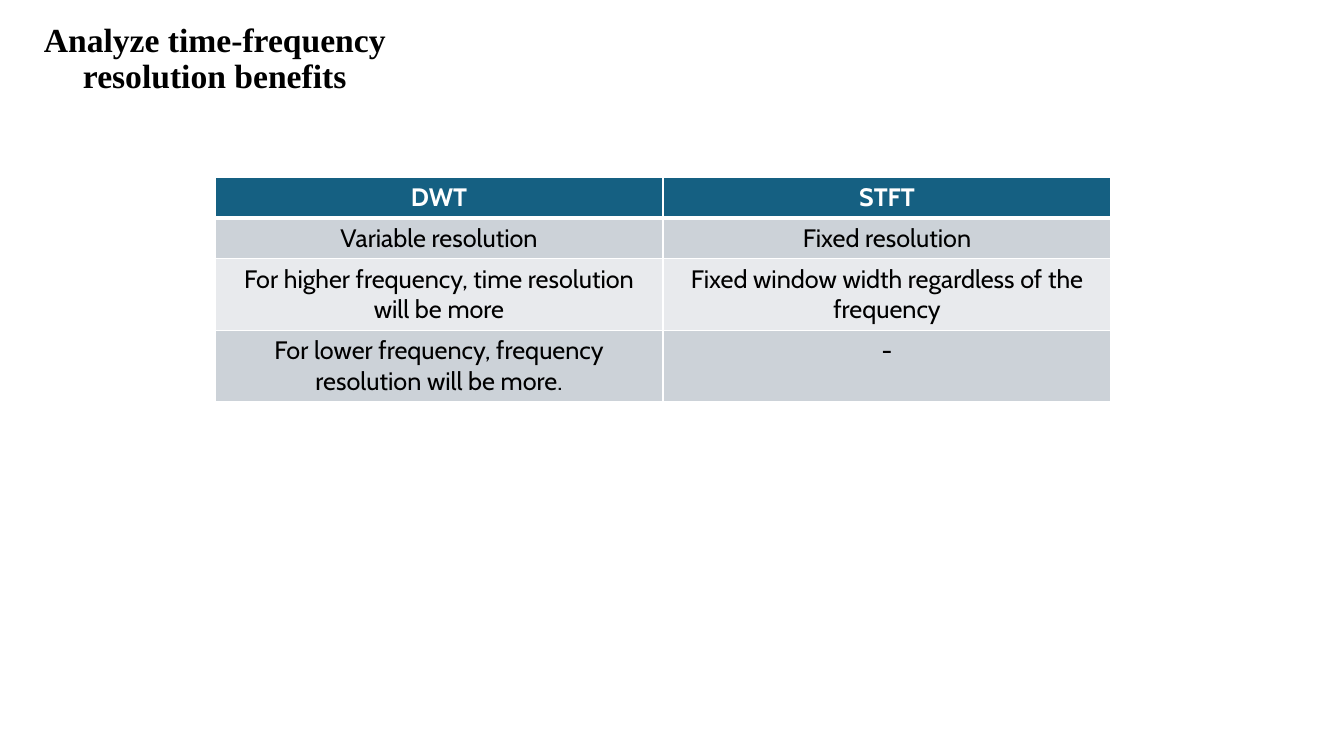
import pptx
import pptx.util
import pptx.dml.color
import pptx.enum.text
import pptx.oxml
import pptx.oxml.ns
import dataclasses

ROWS = [
    ("DWT", "STFT"),
    ("Variable resolution", "Fixed resolution"),
    ("For higher frequency, time resolution will be more",
     "Fixed window width regardless of the frequency"),
    ("For lower frequency, frequency resolution will be more.", "-"),
]


@dataclasses.dataclass(frozen=True)
class Theme:
    """Hold the colours, fonts and sizes of the slide."""
    ink: str = "000000"
    pale: str = "FFFFFF"
    head: str = "156082"
    bands: tuple = ("CCD2D8", "E8EAED")
    serif: str = "Times New Roman"
    sans: str = "Cabin"
    large: int = 24
    text: int = 18
    thin: int = 1
    thick: int = 3


LOOK = Theme()
WIDE = pptx.util.Inches(13.33)
HIGH = pptx.util.Inches(7.5)


def share(left, top, width, height):
    """Turn percentages of the slide into a box of lengths."""
    sides = zip((left, top, width, height), (WIDE, HIGH, WIDE, HIGH))
    return [round(part * side / 100) for part, side in sides]


def apply(item, form):
    """Set each value of a dict as an attribute."""
    for key, value in form.items():
        setattr(item, key, value)


def write(frame, text, font, size, ink, bold, space=1.0):
    """Fill a text frame with one centred paragraph."""
    line = frame.paragraphs[0]
    apply(line, {"alignment": pptx.enum.text.PP_ALIGN.CENTER,
                 "line_spacing": space})
    run = line.add_run()
    apply(run, {"text": text})
    apply(run.font, {"name": font, "size": pptx.util.Pt(size), "bold": bold})
    run.font.color.rgb = pptx.dml.color.RGBColor.from_string(ink)


def edge(cell, side, width):
    """Draw one pale border of a cell."""
    space = pptx.oxml.ns.nsdecls("a")
    cell._tc.get_or_add_tcPr().append(pptx.oxml.parse_xml(
        f'<a:ln{side} {space} w="{pptx.util.Pt(width)}"><a:solidFill>'
        f'<a:srgbClr val="{LOOK.pale}"/></a:solidFill></a:ln{side}>'))


def paint(cell, text, row):
    """Write, border and fill one table cell."""
    head = row == 0
    write(cell.text_frame, text, LOOK.sans, LOOK.text,
          LOOK.pale if head else LOOK.ink, head)
    for side in "LRTB":
        heavy = (row, side) in ((0, "B"), (1, "T"))
        edge(cell, side, LOOK.thick if heavy else LOOK.thin)
    tint = LOOK.head if head else LOOK.bands[(row - 1) % 2]
    cell.fill.solid()
    cell.fill.fore_color.rgb = pptx.dml.color.RGBColor.from_string(tint)


def title(slide, text, box):
    """Place and format the title."""
    shape = slide.shapes.title
    apply(shape, dict(zip(("left", "top", "width", "height"), box)))
    apply(shape.text_frame, {
        "word_wrap": True,
        "auto_size": pptx.enum.text.MSO_AUTO_SIZE.NONE,
        "vertical_anchor": pptx.enum.text.MSO_ANCHOR.MIDDLE})
    write(shape.text_frame, text, LOOK.serif, LOOK.large, LOOK.ink, True, 0.9)


def table(slide, rows, box):
    """Add a table with equal rows and columns."""
    grid = slide.shapes.add_table(len(rows), len(rows[0]), *box).table
    for row, texts in enumerate(rows):
        for col, text in enumerate(texts):
            paint(grid.cell(row, col), text, row)


def main():
    """Build and save the slide."""
    deck = pptx.Presentation()
    apply(deck, {"slide_width": WIDE, "slide_height": HIGH})
    slide = deck.slides.add_slide(deck.slide_layouts[5])
    title(slide, "Analyze time-frequency resolution benefits",
          share(2.1, 2.13, 27.76, 11.47))
    table(slide, ROWS, share(16, 23.4, 66.67, 21.63))
    deck.save("out.pptx")


if __name__ == "__main__":
    main()
